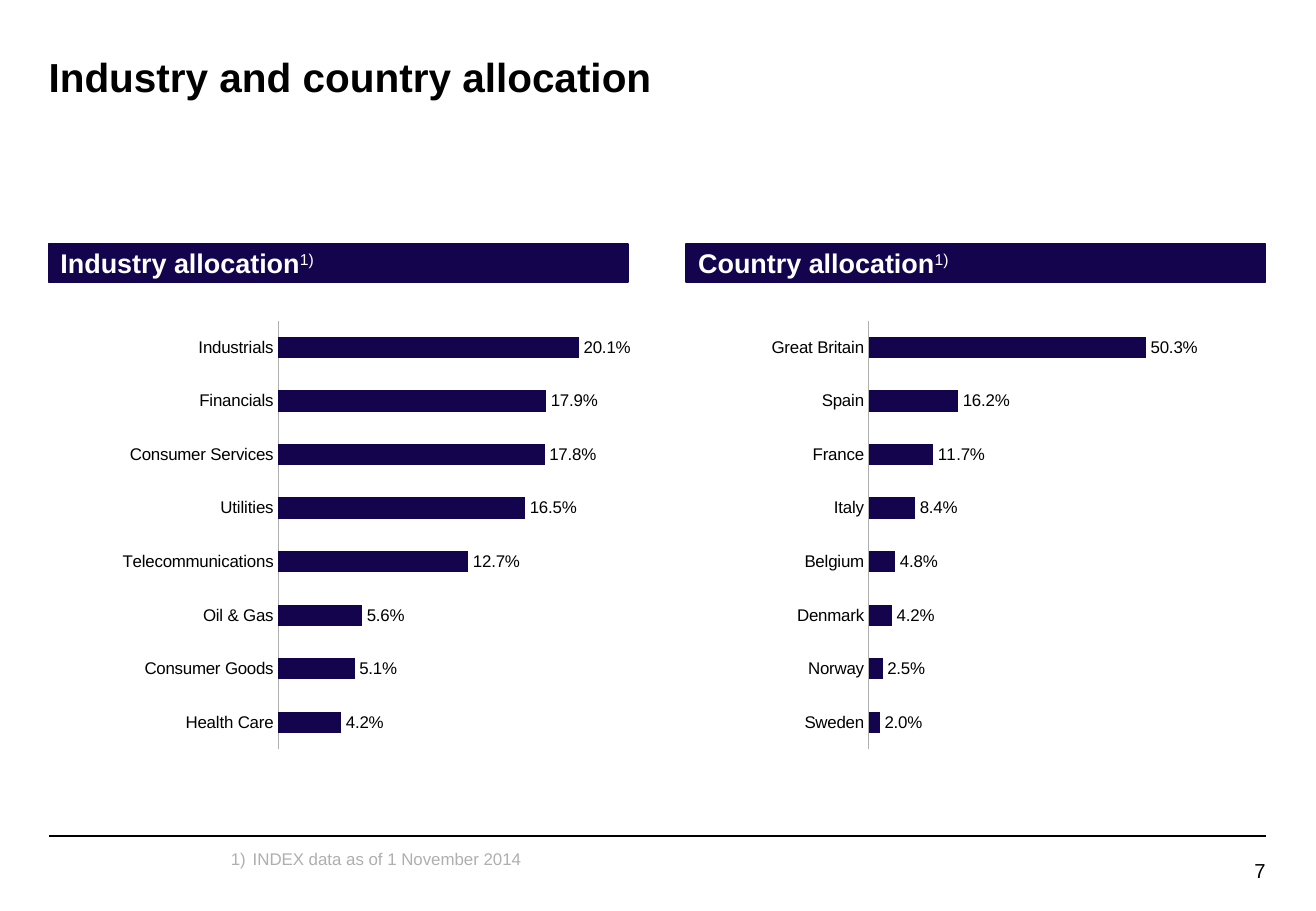
from lxml.etree import SubElement
from pptx import Presentation
from pptx.chart.data import CategoryChartData as ChartData
from pptx.dml.color import RGBColor
from pptx.enum.chart import XL_CHART_TYPE as Kind, XL_LABEL_POSITION as Spot
from pptx.enum.chart import XL_TICK_MARK as Tick
from pptx.enum.shapes import MSO_CONNECTOR as Link, MSO_SHAPE as Shape
from pptx.enum.text import MSO_ANCHOR as Anchor, PP_ALIGN as Align
from pptx.oxml import parse_xml
from pptx.oxml.ns import nsdecls, qn
from pptx.util import Pt

NAVY, GREY, BLACK, WHITE = "14044E", "AFAFAF", "000000", "FFFFFF"
LEFT, RIGHT = 28.8, 750.2
PLOT = {"x": 0.35, "y": 0.05, "w": 0.55, "h": 0.84}

INDUSTRY = {
    "Health Care": 0.042, "Consumer Goods": 0.051, "Oil & Gas": 0.056,
    "Telecommunications": 0.127, "Utilities": 0.165,
    "Consumer Services": 0.178, "Financials": 0.179, "Industrials": 0.201,
}
COUNTRY = {
    "Sweden": 0.02, "Norway": 0.025, "Denmark": 0.042, "Belgium": 0.048,
    "Italy": 0.084, "France": 0.117, "Spain": 0.162, "Great Britain": 0.503,
}
# heading, heading left, chart left, chart width, axis maximum, shares
PANELS = [
    ("Industry allocation", LEFT, 23.8, 403.2, 0.25, INDUSTRY),
    ("Country allocation", 406.8, 390.2, 356.4, 0.6, COUNTRY),
]


def paint(color):
    return RGBColor.from_string(color)


class Deck:
    def __init__(self, width, height, face):
        self.prs = Presentation()
        self.prs.slide_width, self.prs.slide_height = Pt(width), Pt(height)
        self.face = face
        self.slide = self.prs.slides.add_slide(self.prs.slide_layouts[6])
        self.shapes = self.slide.shapes

    def style(self, font, size, color, bold=False):
        font.name, font.size, font.bold = self.face, Pt(size), bold
        font.color.rgb = paint(color)

    def pad(self, frame, left=0):
        frame.margin_left = Pt(left)
        frame.margin_top = frame.margin_right = frame.margin_bottom = 0

    def text(self, box, words, size, color, bold=False, align=Align.LEFT,
             space=1.0):
        frame = self.shapes.add_textbox(*map(Pt, box)).text_frame
        frame.word_wrap = True
        self.pad(frame)
        frame.text = words
        para = frame.paragraphs[0]
        para.alignment, para.line_spacing = align, space
        self.style(para.runs[0].font, size, color, bold)
        return para

    def note(self, box, words):
        """Add a footnote numbered 1) with a hanging indent."""
        props = self.text(box, words, 10, GREY, space=0.95)._p.get_or_add_pPr()
        props.set("marL", str(Pt(13)))
        props.set("indent", str(Pt(-13)))
        SubElement(props, qn("a:buAutoNum"), type="arabicParenR")

    def rule(self, start, end):
        line = self.shapes.add_connector(Link.STRAIGHT, *map(Pt, start + end))
        line.line.color.rgb, line.line.width = paint(BLACK), Pt(1)
        SubElement(line._element.spPr, qn("a:effectLst"))

    def head(self, box, words, mark):
        """Add a filled heading bar with a raised footnote mark."""
        bar = self.shapes.add_shape(Shape.RECTANGLE, *map(Pt, box))
        bar.shadow.inherit = False
        bar.fill.solid()
        bar.fill.fore_color.rgb = bar.line.color.rgb = paint(NAVY)
        bar.line.width = Pt(1)
        frame = bar.text_frame
        frame.word_wrap, frame.vertical_anchor = False, Anchor.MIDDLE
        self.pad(frame, 7.2)
        para = frame.paragraphs[0]
        para.alignment = Align.LEFT
        for part, bold in ((words, True), (mark, False)):
            run = para.add_run()
            run.text = part
            self.style(run.font, 16, WHITE, bold)
        run._r.get_or_add_rPr().set("baseline", "30000")

    def bars(self, box, shares, top):
        data = ChartData(number_format="0.0%")
        data.categories = list(shares)
        data.add_series("Series 1", list(shares.values()))
        chart = self.shapes.add_chart(
            Kind.BAR_CLUSTERED, *map(Pt, box), data).chart
        chart.has_legend = chart.has_title = False
        self.style(chart.font, 10, BLACK)

        cats, vals = chart.category_axis, chart.value_axis
        cats.major_tick_mark = cats.minor_tick_mark = Tick.NONE
        cats.format.line.color.rgb = paint(GREY)
        cats.format.line.width = Pt(0.5)
        self.style(cats.tick_labels.font, 10, BLACK)
        vals.minimum_scale, vals.maximum_scale = 0, top
        vals.has_major_gridlines = vals.visible = False

        plot = chart.plots[0]
        plot.gap_width, plot.vary_by_categories = 150, False
        fill = plot.series[0].format.fill
        fill.solid()
        fill.fore_color.rgb = paint(NAVY)
        plot.has_data_labels = True
        labels = plot.data_labels
        labels.show_value, labels.position = True, Spot.OUTSIDE_END
        labels.number_format, labels.number_format_is_linked = "0.0%", False
        self.style(labels.font, 10, BLACK)
        self.place(chart)

    def place(self, chart):
        """Fix the inner plot area as shares of the chart."""
        area = chart._chartSpace.chart.plotArea
        for old in area.findall(qn("c:layout")):
            area.remove(old)
        modes = '<c:xMode val="edge"/><c:yMode val="edge"/>'
        sizes = "".join(f'<c:{k} val="{v}"/>' for k, v in PLOT.items())
        area.insert(0, parse_xml(
            f'<c:layout {nsdecls("c")}><c:manualLayout>'
            f'<c:layoutTarget val="inner"/>{modes}{sizes}'
            '</c:manualLayout></c:layout>'))


def main():
    deck = Deck(780, 540, "Arial")
    deck.rule((RIGHT, 495.4), (LEFT, 495.4))
    deck.text((686.2, 509.8, 64, 13.7), "7", 12, BLACK,
              align=Align.RIGHT, space=0.95)
    deck.note((136.8, 504, 604.8, 11.5), "INDEX data as of 1 November 2014")
    deck.text((LEFT, 31, RIGHT - LEFT, 61.2),
              "Industry and country allocation", 24, BLACK, bold=True)
    for title, left, start, width, top, shares in PANELS:
        deck.head((left, 144.7, 343.4, 22.3), title, "1)")
        deck.bars((start, 175, width, 302.4), shares, top)
    deck.prs.save("out.pptx")


if __name__ == "__main__":
    main()
